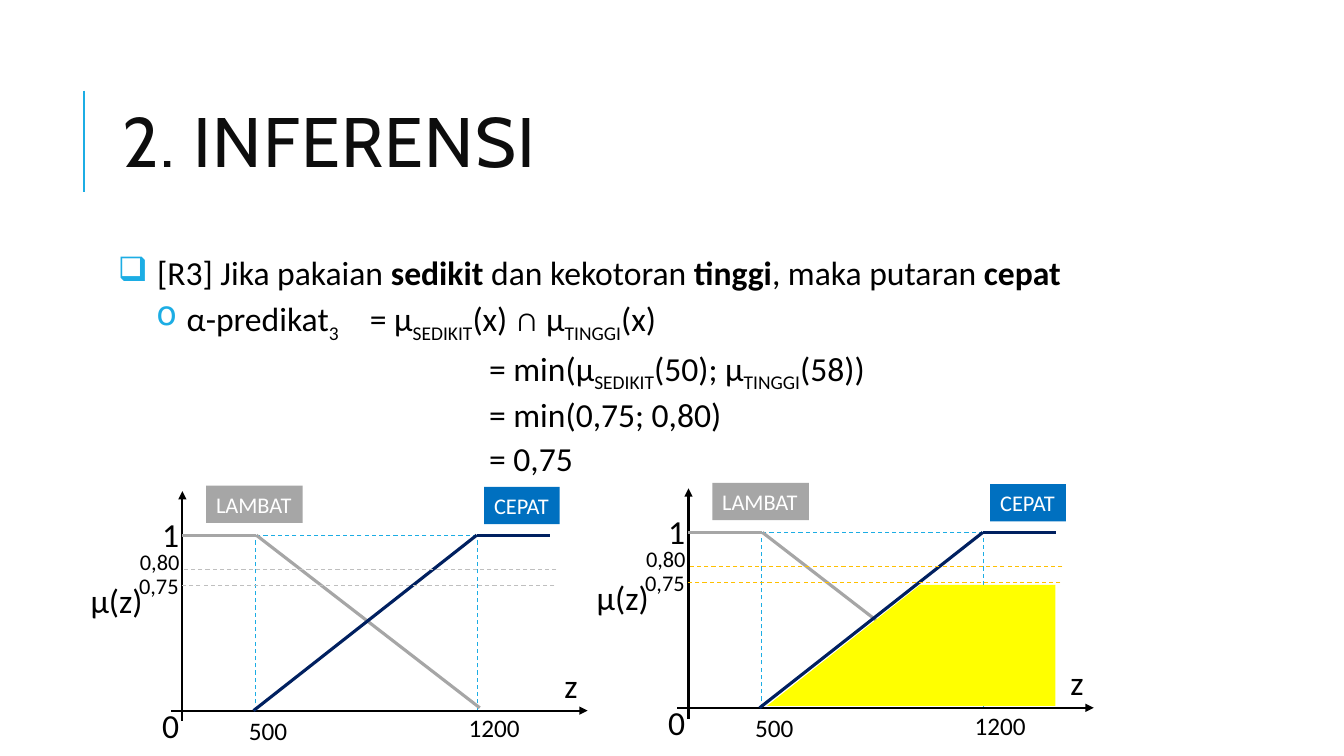
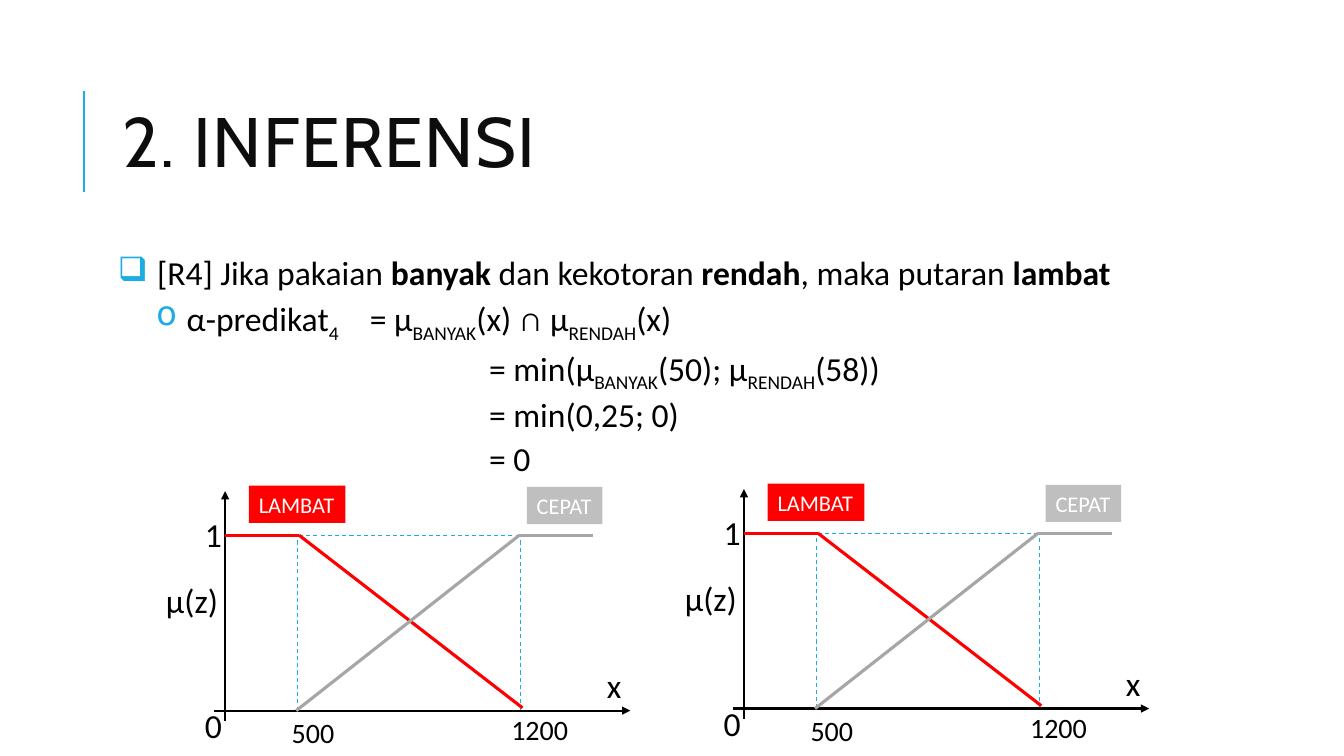
from lxml import etree
from pptx import Presentation
from pptx.dml.color import RGBColor
from pptx.enum import dml, shapes, text
from pptx.oxml import ns
from pptx.util import Pt

ACCENT, BLACK, TITLE = "1CADE4", "000000", "0D0D0D"
GREY, PALE, WHITE = "A6A6A6", "BFBFBF", "FFFFFF"
NAVY, BLUE, RED = "002060", "0070C0", "FF0000"
AMBER, YELLOW = "FFC000", "FFFF00"
TITLE_FONT, BODY_FONT = "Cabin", "Calibri"

# Graph geometry, measured from the point where μ = 1 meets the vertical axis
SLOW_END, FAST_START, PLOT_END, BASE = 52, 211, 262, 125.3


def colour(value):
    return RGBColor.from_string(value)


def add_xml(parent, tag, **attributes):
    child = etree.SubElement(parent, ns.qn(tag))
    for name, value in attributes.items():
        child.set(name, value)
    return child


def style_span(span, size, shade=BLACK, font=BODY_FONT):
    span.font.size, span.font.name = Pt(size), font
    span.font.color.rgb = colour(shade)


def add_line(parts, start, end, shade, width, dashed=False, arrow=None):
    line = parts.add_connector(shapes.MSO_CONNECTOR.STRAIGHT,
                               *(Pt(value) for value in (*start, *end)))
    line.line.color.rgb = colour(shade)
    line.line.width = Pt(width)
    if dashed:
        line.line.dash_style = dml.MSO_LINE.DASH
    if arrow:
        add_xml(line.line._get_or_add_ln(), arrow, type="triangle")
    add_xml(line._element.spPr, "a:effectLst")


def add_label(parts, wording, left, top, width, height, size, shade=BLACK, fill=None):
    place = [Pt(value) for value in (left, top, width, height)]
    if fill:
        box = parts.add_shape(shapes.MSO_SHAPE.RECTANGLE, *place)
        box.shadow.inherit = False
        box.fill.solid()
        box.fill.fore_color.rgb = colour(fill)
        box.line.fill.background()
    else:
        box = parts.add_textbox(*place)
    frame = box.text_frame
    frame.text = wording
    frame.word_wrap = False
    para = frame.paragraphs[0]
    para.alignment = text.PP_ALIGN.LEFT
    style_span(para.runs[0], size, shade)


def add_title(page, wording, left, top, width, height):
    add_line(page.shapes, (left - 20.8, top + 18.8), (left - 20.8, top + 90.8), ACCENT, 1.5)
    box = page.shapes.add_textbox(Pt(left), Pt(top), Pt(width), Pt(height))
    frame = box.text_frame
    frame.word_wrap = True
    frame.vertical_anchor = text.MSO_ANCHOR.MIDDLE
    frame.text = wording
    para = frame.paragraphs[0]
    para.line_spacing = 0.8
    span = para.runs[0]
    style_span(span, 50, TITLE, TITLE_FONT)
    span._r.get_or_add_rPr().set("spc", "100")


def add_rule(page, lines, left, top, width, height):
    """Each line is a list of (wording, style), with style "", "bold" or "sub"."""
    box = page.shapes.add_textbox(Pt(left), Pt(top), Pt(width), Pt(height))
    frame = box.text_frame
    frame.word_wrap = True
    frame.margin_left = frame.margin_right = Pt(3.6)
    frame.margin_top = frame.margin_bottom = Pt(3.6)
    # Bullet, left margin, first-line indent, space before, space after
    layouts = [("❑", 28, -28, 0, 2), ("o", 49.2, -21.6, 2, 4)] + [(None, 265.2, 0, 2, 4)] * 3
    for number, (spans, layout) in enumerate(zip(lines, layouts)):
        bullet, margin, indent, before, after = layout
        para = frame.add_paragraph() if number else frame.paragraphs[0]
        props = para._p.get_or_add_pPr()
        props.set("marL", str(Pt(margin)))
        props.set("indent", str(Pt(indent)))
        if bullet:
            add_xml(add_xml(props, "a:buClr"), "a:srgbClr", val=ACCENT)
            add_xml(props, "a:buChar", char=bullet)
        para.alignment = text.PP_ALIGN.JUSTIFY
        para.line_spacing = 0.9
        para.space_before, para.space_after = Pt(before), Pt(after)
        for wording, style in spans:
            span = para.add_run()
            span.text = wording
            style_span(span, 24)
            if style == "bold":
                span.font.bold = True
            elif style == "sub":
                span._r.get_or_add_rPr().set("baseline", "-25000")


def add_graph(page, left, top, look, level_shade=None, shaded=False):
    parts = page.shapes.add_group_shape().shapes

    def line(x1, y1, x2, y2, *style, **options):
        add_line(parts, (left + x1, top + y1), (left + x2, top + y2), *style, **options)

    def label(wording, x, y, *style, **options):
        add_label(parts, wording, left + x, top + y, *style, **options)

    # Guides and axes
    line(PLOT_END, 0, 0, 0, ACCENT, 0.75, dashed=True)
    for x in (SLOW_END, FAST_START):
        line(x, BASE, x, 0, ACCENT, 0.75, dashed=True)
    line(0, -31.5, 0, 133, BLACK, 1.5, arrow="a:headEnd")
    line(-8, BASE, 289.5, BASE, BLACK, 1.5, arrow="a:tailEnd")

    # Membership curves
    line(0, 0, SLOW_END + 0.8, 0, look["slow"], 2.25)
    line(SLOW_END + 0.8, 0, FAST_START + 1.4, BASE - 2, look["slow"], 2.25)
    line(SLOW_END - 1.2, BASE, FAST_START - 0.8, 0, look["fast"], 2.25)
    line(FAST_START - 0.8, 0, PLOT_END + 0.7, 0, look["fast"], 2.25)

    # Axis labels and curve names
    tick = look["tick"]
    label("500", 40.5, BASE, 2.1 * tick + 5, 1.6 * tick, tick)
    label("1200", 197.3, BASE - 2, 2.8 * tick + 1, 1.6 * tick, tick)
    label("μ(z)", look["name_x"], 28.3, 52.6, 36, 24)
    label(look["variable"], 265.7, 89.3, look["variable_width"], 36, 24)
    label("0", -21.6, 117.4, 23, 32, 24)
    label("1", -21.6, -18.7, 23.8, 32, 24)
    label("LAMBAT", 17, -35.3, 69, 26.6, 16, WHITE, fill=look["slow"])
    label("CEPAT", 215.5, -34.5, 54, 26.6, 16, WHITE, fill=look["fast_box"])

    # Firing levels
    if level_shade:
        for wording, x, y, end in (("0,75", -38, 36, 265.7), ("0,80", -37.4, 24.5, 267)):
            label(wording, x, y - (13.4 if wording == "0,75" else 18.8), 43.2, 26.6, 16)
            line(end, y, end - 268, y, level_shade, 0.75, dashed=True)

    # Area below the firing level
    if shaded:
        corners = [(56, 124), (165.5, 37.5), (PLOT_END, 37.5), (PLOT_END, 124)]
        points = [(Pt(left + x), Pt(top + y)) for x, y in corners]
        builder = parts.build_freeform(*points[0])
        builder.add_line_segments(points[1:], close=True)
        area = builder.convert_to_shape()
        area.shadow.inherit = False
        area.fill.solid()
        area.fill.fore_color.rgb = colour(YELLOW)
        area.line.fill.background()


def rule_lines(number, clothes, dirt, spin, values, result):
    clothes_mu, dirt_mu = (clothes.upper(), "sub"), (dirt.upper(), "sub")
    return [
        [(f"[R{number}] Jika pakaian ", ""), (clothes, "bold"), (" dan kekotoran ", ""),
         (dirt, "bold"), (", maka putaran ", ""), (spin, "bold")],
        [("α-predikat", ""), (str(number), "sub"), ("\t= μ", ""), clothes_mu,
         ("(x) ∩ μ", ""), dirt_mu, ("(x)", "")],
        [("= min(μ", ""), clothes_mu, ("(50); μ", ""), dirt_mu, ("(58))", "")],
        [(f"= min({values})", "")],
        [(f"= {result}", "")],
    ]


def add_page(deck, rule, look, graphs):
    page = deck.slides.add_slide(deck.slide_layouts[6])
    add_title(page, "2. INFERENSI", 80.6, 46, 765.4, 118)
    add_rule(page, rule_lines(*rule), 80.6, 180, 765.4, 161.3)
    for graph in graphs:
        add_graph(page, *graph[:2], look, *graph[2:])


def main():
    deck = Presentation()
    deck.slide_width, deck.slide_height = Pt(960), Pt(540)
    fast_look = dict(slow=GREY, fast=NAVY, fast_box=BLUE, tick=18, name_x=-72.7,
                     variable="z", variable_width=24.5)
    slow_look = dict(slow=RED, fast=GREY, fast_box=PALE, tick=20, name_x=-49.3,
                     variable="x", variable_width=21.6)
    add_page(deck, (3, "sedikit", "tinggi", "cepat", "0,75; 0,80", "0,75"), fast_look,
             [(130.3, 382.3, PALE), (491.8, 380.3, AMBER, True)])
    add_page(deck, (4, "banyak", "rendah", "lambat", "0,25; 0", "0"), slow_look,
             [(160.8, 382.3), (531.4, 380.8)])
    deck.save("out.pptx")


if __name__ == "__main__":
    main()
